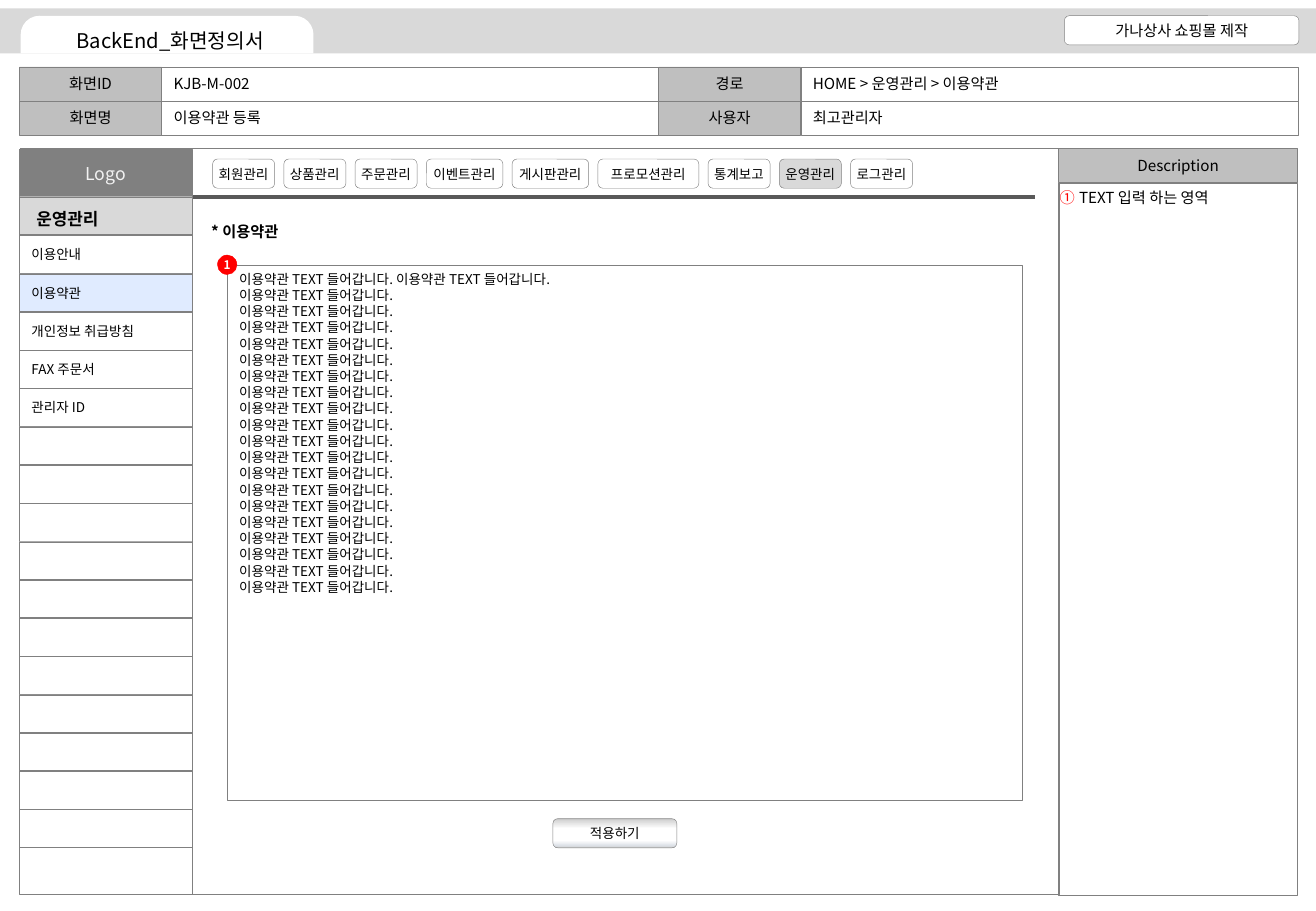
from dataclasses import dataclass

from lxml import etree
from pptx import Presentation
from pptx.dml.color import RGBColor
from pptx.enum.shapes import MSO_CONNECTOR, MSO_SHAPE
from pptx.enum.text import MSO_ANCHOR, MSO_AUTO_SIZE, PP_ALIGN
from pptx.oxml.ns import qn
from pptx.util import Inches, Pt

RECTANGLE = MSO_SHAPE.RECTANGLE
ROUNDED = MSO_SHAPE.ROUNDED_RECTANGLE
TAB = MSO_SHAPE.ROUND_2_SAME_RECTANGLE
OVAL = MSO_SHAPE.OVAL
STRAIGHT = MSO_CONNECTOR.STRAIGHT
LEFT, CENTER = PP_ALIGN.LEFT, PP_ALIGN.CENTER
TOP, MIDDLE = MSO_ANCHOR.TOP, MSO_ANCHOR.MIDDLE
NO_AUTOFIT = MSO_AUTO_SIZE.NONE

TITLE = "BackEnd_화면정의서"
PROJECT = "가나상사 쇼핑몰 제작"
INFO = [
    [("화면ID", "KJB-M-002"), ("경로", "HOME > 운영관리 > 이용약관")],
    [("화면명", "이용약관 등록"), ("사용자", "최고관리자")],
]
LOGO = "Logo"
MENU = [
    ("회원관리", 0.51), ("상품관리", 0.51), ("주문관리", 0.51),
    ("이벤트관리", 0.63), ("게시판관리", 0.63), ("프로모션관리", 0.83),
    ("통계보고", 0.51), ("운영관리", 0.51), ("로그관리", 0.51),
]
SECTION = "운영관리"
SIDE_ITEMS = ["이용안내", "이용약관", "개인정보 취급방침", "FAX 주문서", "관리자 ID"]
SIDE_ROWS = 16
CURRENT = "이용약관"
HEADING = "* 이용약관"
TERM = "이용약관 TEXT 들어갑니다."
TERMS = [f"{TERM} {TERM}"] + [TERM] * 19
APPLY = "적용하기"
DESCRIPTION = "Description"
NOTES = ["TEXT 입력 하는 영역"]
MARKER = "1"


@dataclass(frozen=True)
class Theme:
    font: str = "Noto Sans CJK KR"
    ink: str = "000000"
    white: str = "FFFFFF"
    pale: str = "F2F2F2"
    band: str = "D9D9D9"
    label: str = "BFBFBF"
    edge: str = "808080"
    rule: str = "595959"
    current: str = "E0EBFF"
    accent: str = "FF0000"
    button: tuple = ((0, "BFBFBF"), (8, "D9D9D9"), (34, "FFFFFF"),
                     (74, "FFFFFF"), (93, "DDE1E7"), (100, "CCCCCC"))
    title_size: float = 12
    logo_size: float = 10.5
    section_size: float = 10
    label_size: float = 9
    body_size: float = 8
    marker_size: float = 7
    leading: float = 1.2
    hairline: float = 0.25
    thick: float = 2.25


THEME = Theme()
PADDING = (0.1, 0.05, 0.1, 0.05)
TIGHT = (0, 0, 0, 0)


def write(box, text, size=THEME.label_size, color=THEME.ink, bold=False,
          align=CENTER, anchor=MIDDLE, insets=PADDING):
    frame = box.text_frame
    frame.word_wrap = True
    frame.auto_size = NO_AUTOFIT
    frame.vertical_anchor = anchor
    (frame.margin_left, frame.margin_top,
     frame.margin_right, frame.margin_bottom) = map(Inches, insets)
    lines = [text] if isinstance(text, str) else text
    for index, line in enumerate(lines):
        para = frame.add_paragraph() if index else frame.paragraphs[0]
        para.alignment = align
        para.line_spacing = Pt(size * THEME.leading)
        para.space_before = Pt(0)
        span = para.add_run()
        span.text = line
        span.font.name = THEME.font
        span.font.size = Pt(size)
        span.font.bold = bold
        span.font.color.rgb = RGBColor.from_string(color)
        east_asian = etree.SubElement(span.font._element, qn("a:ea"))
        east_asian.set("typeface", THEME.font)
    return box


def draw(at, kind=RECTANGLE, fill=None, line=THEME.edge, text=None, **style):
    box = page.shapes.add_shape(kind, *map(Inches, at))
    box.shadow.inherit = False
    if fill:
        box.fill.solid()
        box.fill.fore_color.rgb = RGBColor.from_string(fill)
    else:
        box.fill.background()
    if line:
        box.line.color.rgb = RGBColor.from_string(line)
        box.line.width = Pt(THEME.hairline)
    else:
        box.line.fill.background()
    return write(box, text, **style) if text else box


def place(box, at):
    box.left, box.top, box.width, box.height = map(Inches, at)
    box.element.getparent().append(box.element)
    return box


def shade(box, stops):
    box.fill.gradient()
    box.fill.gradient_angle = 270
    stop_list = next(box.element.iter(qn("a:gsLst")))
    for stop in list(stop_list):
        stop_list.remove(stop)
    for percent, color in stops:
        stop = etree.SubElement(stop_list, qn("a:gs"), pos=str(percent * 1000))
        etree.SubElement(stop, qn("a:srgbClr"), val=color)


def number(para, color):
    properties = para._p.get_or_add_pPr()
    properties.set("marL", str(Inches(0.16)))
    properties.set("indent", str(Inches(-0.16)))
    bullet_color = etree.SubElement(properties, qn("a:buClr"))
    etree.SubElement(bullet_color, qn("a:srgbClr"), val=color)
    etree.SubElement(properties, qn("a:buAutoNum"), type="circleNumDbPlain")


deck = Presentation()
deck.slide_width, deck.slide_height = Inches(10.83), Inches(7.5)
page = deck.slides.add_slide(deck.slide_layouts[1])
title, notes = page.placeholders[0], page.placeholders[1]

draw((0, 0.07, 10.83, 0.37), fill=THEME.band, line=None)
tab = draw((0.17, 0.13, 2.41, 0.31), TAB, fill=THEME.white, line=None)
tab.adjustments[0], tab.adjustments[1] = 0.5, 0
write(place(title, (0.3, 0.21, 2.2, 0.24)), TITLE, size=THEME.title_size)
draw((8.76, 0.13, 1.93, 0.24), ROUNDED, fill=THEME.white, text=PROJECT)

LABEL_WIDTH, VALUE_WIDTH, INFO_HEIGHT = 1.17, 4.09, 0.28
for row, pairs in enumerate(INFO):
    top = 0.55 + row * INFO_HEIGHT
    for column, (label, value) in enumerate(pairs):
        left = 0.16 + column * (LABEL_WIDTH + VALUE_WIDTH)
        draw((left, top, LABEL_WIDTH, INFO_HEIGHT), fill=THEME.label, text=label)
        draw((left + LABEL_WIDTH, top, VALUE_WIDTH, INFO_HEIGHT),
             text=value, align=LEFT)

draw((0.17, 1.22, 8.55, 6.14))
draw((8.71, 1.22, 1.97, 0.28), fill=THEME.label, text=DESCRIPTION)
draw((8.71, 1.51, 1.97, 5.86))
write(place(notes, (8.72, 1.55, 1.97, 5.83)), NOTES,
      align=LEFT, anchor=TOP, insets=TIGHT)
for para in notes.text_frame.paragraphs:
    number(para, THEME.accent)

SIDE_LEFT, SIDE_WIDTH, SIDE_PITCH = 0.16, 1.42, 0.315
draw((SIDE_LEFT, 1.61, SIDE_WIDTH, 5.75), fill=THEME.white)
draw((SIDE_LEFT, 1.23, SIDE_WIDTH, 0.39), fill=THEME.edge,
     text=LOGO, size=THEME.logo_size, color=THEME.pale)
draw((SIDE_LEFT, 1.62, SIDE_WIDTH, 0.31), fill=THEME.band, text=SECTION,
     size=THEME.section_size, bold=True, align=LEFT, insets=(0.14, 0.08, 0.1, 0.02))
for row in range(SIDE_ROWS):
    item = SIDE_ITEMS[row] if row < len(SIDE_ITEMS) else None
    draw((SIDE_LEFT, 1.94 + row * SIDE_PITCH, SIDE_WIDTH, 0.31),
         fill=THEME.current if item == CURRENT else THEME.white,
         text=item, size=THEME.body_size, align=LEFT)

rule = page.shapes.add_connector(
    STRAIGHT, Inches(1.59), Inches(1.62), Inches(8.52), Inches(1.62))
rule.line.color.rgb = RGBColor.from_string(THEME.rule)
rule.line.width = Pt(THEME.thick)
etree.SubElement(rule.element.spPr, qn("a:effectLst"))

MENU_LEFT, MENU_RIGHT = 1.75, 7.51
menu_gap = (MENU_RIGHT - MENU_LEFT - sum(width for _, width in MENU)) / (len(MENU) - 1)
left = MENU_LEFT
for name, width in MENU:
    draw((left, 1.31, width, 0.24), ROUNDED,
         fill=THEME.band if name == SECTION else THEME.white,
         text=name, size=THEME.body_size, insets=TIGHT)
    left += width + menu_gap

heading = page.shapes.add_textbox(*map(Inches, (1.64, 1.78, 2, 0.25)))
write(heading, HEADING, bold=True, align=LEFT, anchor=TOP)
draw((1.87, 2.18, 6.54, 4.41), text=TERMS, size=THEME.body_size,
     align=LEFT, anchor=TOP)
apply_button = draw((4.55, 6.74, 1.02, 0.24), ROUNDED, text=APPLY,
                    size=THEME.body_size, insets=TIGHT)
shade(apply_button, THEME.button)
draw((1.79, 2.1, 0.16, 0.16), OVAL, fill=THEME.accent, line=THEME.accent,
     text=MARKER, size=THEME.marker_size, color=THEME.white, bold=True, insets=TIGHT)

deck.save("out.pptx")
